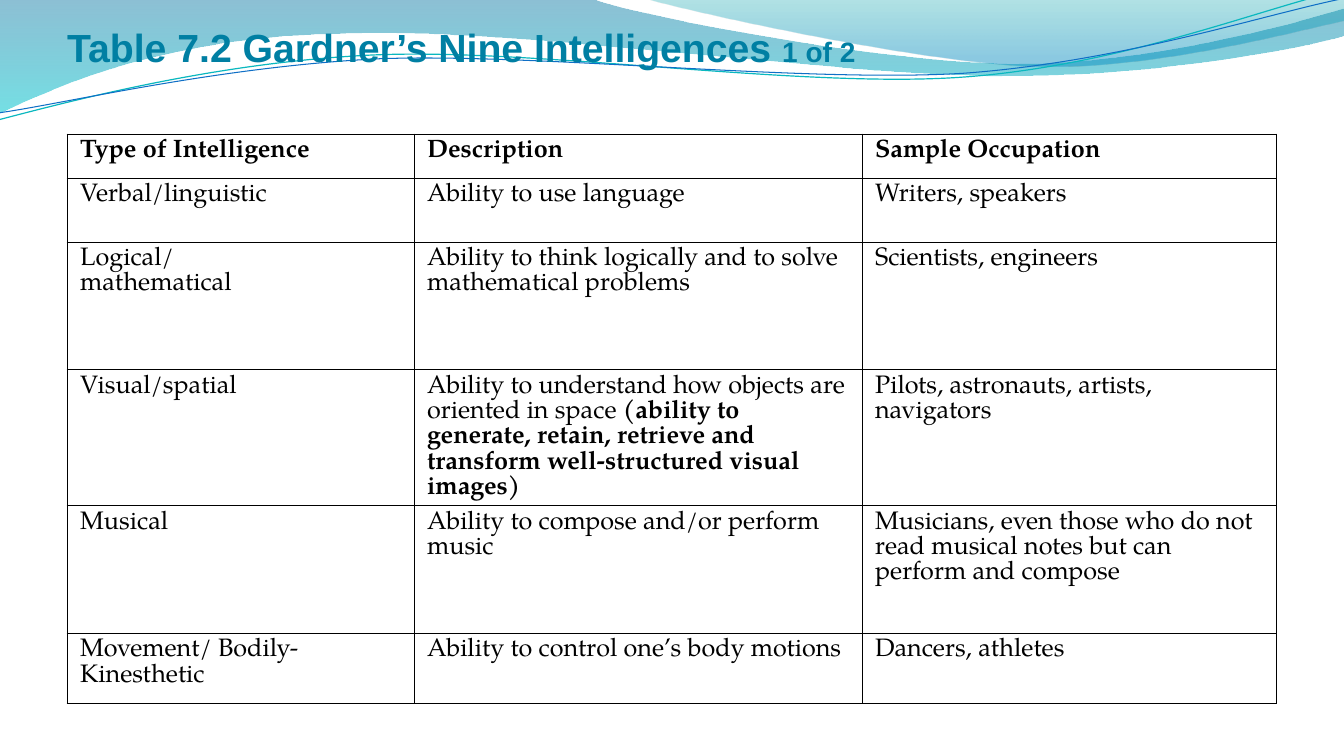
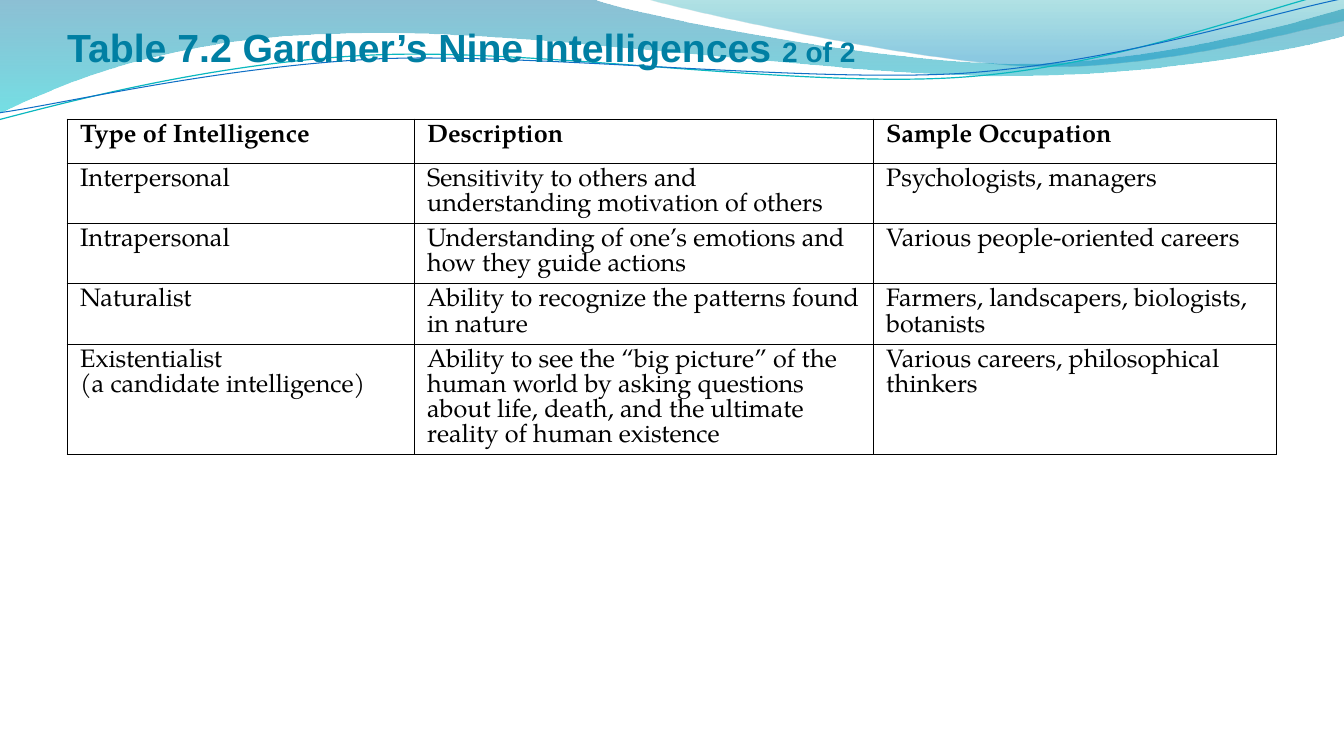
from lxml import etree
from pptx import Presentation
from pptx import util as u
from pptx.dml.color import RGBColor
from pptx.enum import text
from pptx.oxml.ns import qn

PX = 914400 / 100.8
SLIDE_W, SLIDE_H = 1344, 756
MARGIN = SLIDE_W / 20
CONTENT_W = SLIDE_W - 2 * MARGIN

BLACK = RGBColor(0x00, 0x00, 0x00)
TITLE_BLUE = RGBColor(0x00, 0x7F, 0xA3)
DEEP_BLUE = RGBColor(0x00, 0x74, 0xA1)
AQUA = RGBColor(0x00, 0xC6, 0xCF)
TEAL = RGBColor(0x00, 0xA1, 0xA9)
SKY = RGBColor(0x00, 0x8B, 0xBF)
LINE_TEAL = RGBColor(0x0A, 0xB8, 0xBF)
LINE_BLUE = RGBColor(0x0F, 0x6F, 0xC6)
TITLE_FONT, TABLE_FONT = "Arial", "TeX Gyre Pagella"
CURVE_TILT = 357.3

# Wave outlines in px: a pair is a straight step, three pairs are a cubic curve
LEFT_WAVE = [
    (0, 0), (592, -1),
    ((639, 17), (892, 64), (1019, 64)), ((1147, 64), (1288, 26), (1344, 9)),
    (1346, 36),
    ((1321, 44), (1169, 77), (1002, 76)), ((836, 76), (513, 28), (346, 34)),
    ((173, 36), (61, 84), (-1, 114)), (0, 0),
]
RIGHT_WAVE = [
    (644, -1),
    ((684, 11), (916, 62), (1033, 66)), ((1150, 70), (1292, 32), (1344, 21)),
    (1344, 0), (644, -1),
]
# The two thin curves are given level and then tilted
TEAL_CURVE = [
    (-3, 88), ((64, 74), (213, 41), (372, 41)),
    ((532, 41), (794, 94), (957, 91)), ((1118, 88), (1264, 36), (1344, 22)),
]
BLUE_CURVE = [
    (-2, 81), ((63, 75), (220, 45), (381, 45)),
    ((541, 47), (801, 89), (962, 87)), ((1123, 83), (1267, 42), (1347, 30)),
]

HEADER = ["Type of Intelligence", "Description", "Sample Occupation"]
PART_ONE = [
    ["Verbal/linguistic", "Ability to use language", "Writers, speakers"],
    ["Logical/\nmathematical",
     "Ability to think logically and to solve mathematical problems",
     "Scientists, engineers"],
    ["Visual/spatial",
     [("Ability to understand how objects are oriented in space ", False),
      ("(ability to generate, retain, retrieve and transform "
       "well-structured visual images)", True)],
     "Pilots, astronauts, artists, navigators"],
    ["Musical", "Ability to compose and/or perform music",
     "Musicians, even those who do not read musical notes but can "
     "perform and compose"],
    ["Movement/ Bodily-Kinesthetic", "Ability to control one’s body motions",
     "Dancers, athletes"],
]
PART_TWO = [
    ["Interpersonal",
     "Sensitivity to others and understanding motivation of others",
     "Psychologists, managers"],
    ["Intrapersonal",
     "Understanding of one’s emotions and how they guide actions",
     "Various people-oriented careers"],
    ["Naturalist", "Ability to recognize the patterns found in nature",
     "Farmers, landscapers, biologists, botanists"],
    ["Existentialist \n(a candidate intelligence)",
     "Ability to see the “big picture” of the human world by asking questions "
     "about life, death, and the ultimate reality of human existence",
     "Various careers, philosophical thinkers"],
]


def px(length):
    return u.Emu(round(length * PX))


def add_wave(shapes, outline, close):
    """Draw an outline, joining each curve's three points into one cubic step."""
    (x, y), *steps = outline
    corners = [corner for step in steps
               for corner in (step if len(step) == 3 else [step])]
    builder = shapes.build_freeform(px(x), px(y))
    builder.add_line_segments([(px(x), px(y)) for x, y in corners], close=close)
    wave = builder.convert_to_shape()
    wave.shadow.inherit = False

    segments = iter(list(wave.element.iter(qn("a:lnTo"))))
    for step in steps:
        segment = next(segments)
        if len(step) == 3:
            cubic = etree.Element(qn("a:cubicBezTo"))
            segment.addprevious(cubic)
            for part in (segment, next(segments), next(segments)):
                cubic.append(part[0])
                part.getparent().remove(part)
    return wave


def add_band(shapes, outline, stops):
    band = add_wave(shapes, outline, True)
    band.line.fill.background()
    band.fill.gradient()
    band.fill.gradient_angle = 270
    for stop, (position, color, _) in zip(band.fill.gradient_stops, stops):
        stop.position = position
        stop.color.rgb = color
    tints = band.element.spPr.iter(qn("a:srgbClr"))
    for tint, (_, _, opacity) in zip(tints, stops):
        etree.SubElement(tint, qn("a:alpha"), val=str(opacity * 1000))
    return band


def add_curve(shapes, outline, color, width):
    curve = add_wave(shapes, outline, False)
    curve.rotation = CURVE_TILT
    curve.fill.background()
    curve.line.color.rgb = color
    curve.line.width = u.Pt(width)
    return curve


def style_layout(layout, slide):
    """Put the title box and the wave header on the shared layout."""
    title = layout.placeholders[0]
    title.left, title.top = px(MARGIN), px(23)
    title.width, title.height = px(CONTENT_W), px(92)

    shapes = slide.shapes
    waves = [
        add_band(shapes, LEFT_WAVE, [(0, DEEP_BLUE, 45), (1, AQUA, 55)]),
        add_band(shapes, RIGHT_WAVE, [(0, TEAL, 30), (0.8, SKY, 45)]),
        shapes.add_group_shape([
            add_curve(shapes, TEAL_CURVE, LINE_TEAL, 0.85),
            add_curve(shapes, BLUE_CURVE, LINE_BLUE, 0.75),
        ]),
    ]
    # Keep ids unique and the waves behind the placeholders
    for i, wave in enumerate(waves):
        for j, identity in enumerate(wave.element.iter(qn("p:cNvPr"))):
            identity.set("id", str(100 + 10 * i + j))
        layout.shapes.element.insert(2 + i, wave.element)


def add_run(paragraph, wording, font, size, color, bold):
    run = paragraph.add_run()
    run.text = wording
    run.font.name, run.font.size = font, u.Pt(size)
    run.font.color.rgb, run.font.bold = color, bold


def fill_title(title, part):
    frame = title.text_frame
    frame.margin_left = frame.margin_right = 0
    frame.margin_top = frame.margin_bottom = 0
    frame.vertical_anchor = text.MSO_ANCHOR.TOP
    frame.auto_size = text.MSO_AUTO_SIZE.NONE
    heading = frame.paragraphs[0]
    heading.alignment = text.PP_ALIGN.LEFT
    for wording, size in (("Table 7.2 Gardner’s Nine Intelligences ", 28),
                          (f"{part} of 2", 20)):
        add_run(heading, wording, TITLE_FONT, size, TITLE_BLUE, True)


def add_borders(cell):
    properties = cell._tc.get_or_add_tcPr()
    for i, side in enumerate(("lnL", "lnR", "lnT", "lnB")):
        border = etree.Element(qn(f"a:{side}"), w=str(u.Pt(0.75)))
        paint = etree.SubElement(border, qn("a:solidFill"))
        etree.SubElement(paint, qn("a:srgbClr"), val=str(BLACK))
        properties.insert(i, border)


def fill_cell(cell, content, bold):
    cell.margin_left = cell.margin_right = px(13)
    cell.margin_top = cell.margin_bottom = px(5)
    cell.fill.background()
    add_borders(cell)
    entry = cell.text_frame.paragraphs[0]
    entry.line_spacing = u.Pt(18)
    runs = [(content, bold)] if isinstance(content, str) else content
    for wording, run_bold in runs:
        for i, line in enumerate(wording.split("\n")):
            if i:
                entry.add_line_break()
            add_run(entry, line, TABLE_FONT, 18, BLACK, run_bold)


def add_intelligences(slide, top, height, widths, row_heights, rows):
    rows = [HEADER, *rows]
    widths = [*widths, CONTENT_W - sum(widths)]
    table = slide.shapes.add_table(len(rows), len(widths), px(MARGIN), px(top),
                                   px(CONTENT_W), px(height)).table
    table.horz_banding = False
    for column, width in zip(table.columns, widths):
        column.width = px(width)
    for r, (row, row_height) in enumerate(zip(rows, row_heights)):
        table.rows[r].height = px(row_height)
        for c, content in enumerate(row):
            fill_cell(table.cell(r, c), content, r == 0)


def main():
    deck = Presentation()
    deck.slide_width, deck.slide_height = px(SLIDE_W), px(SLIDE_H)
    layout = deck.slide_layouts[5]
    parts = [
        (134, 562, (347, 448), (44, 64, 128, 128, 128, 70), PART_ONE),
        (119, 387, (347, 459), (44, 41, 41, 41, 41), PART_TWO),
    ]
    for number, part in enumerate(parts, 1):
        slide = deck.slides.add_slide(layout)
        if number == 1:
            style_layout(layout, slide)
        fill_title(slide.shapes.title, number)
        add_intelligences(slide, *part)
    deck.save("out.pptx")


if __name__ == "__main__":
    main()
